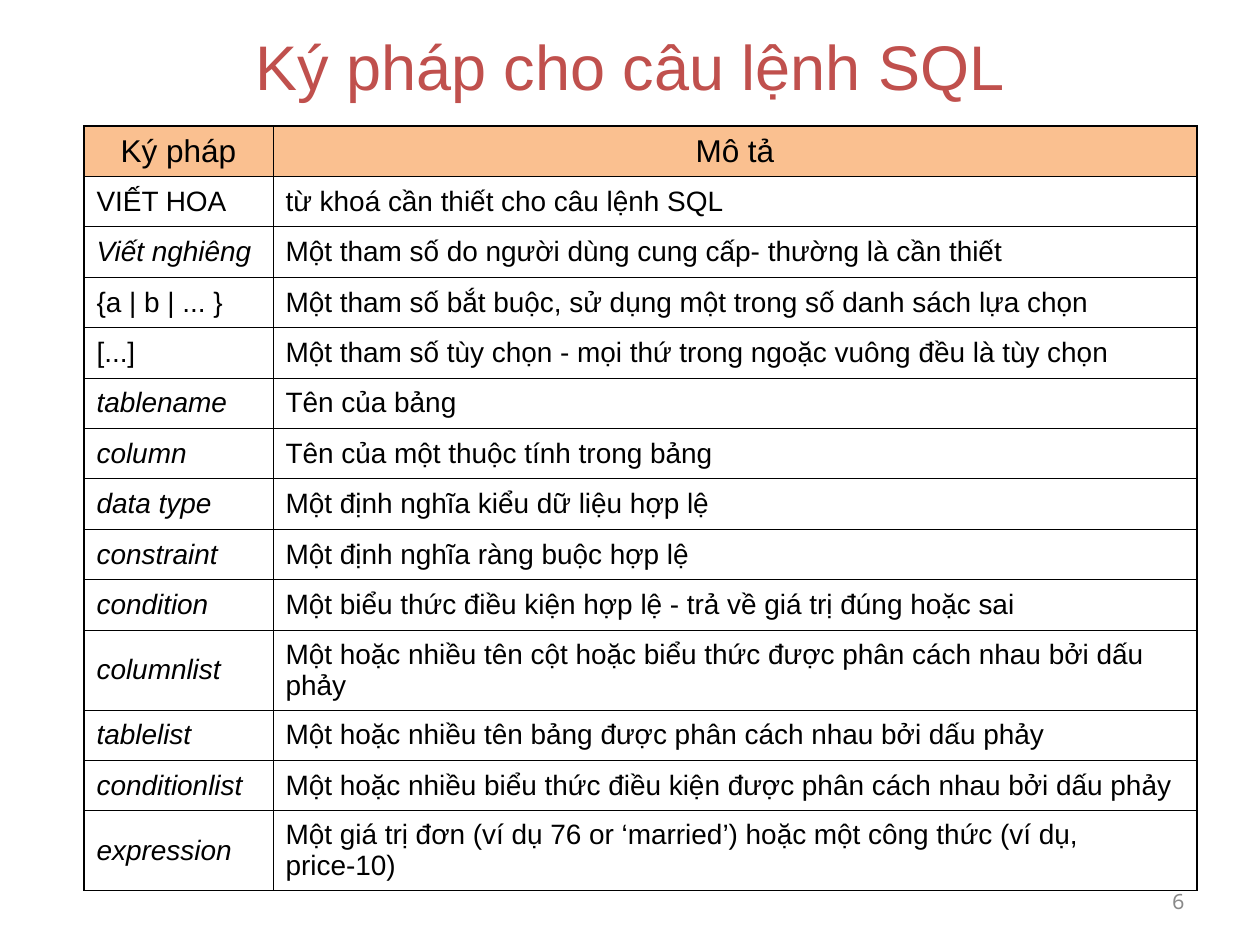
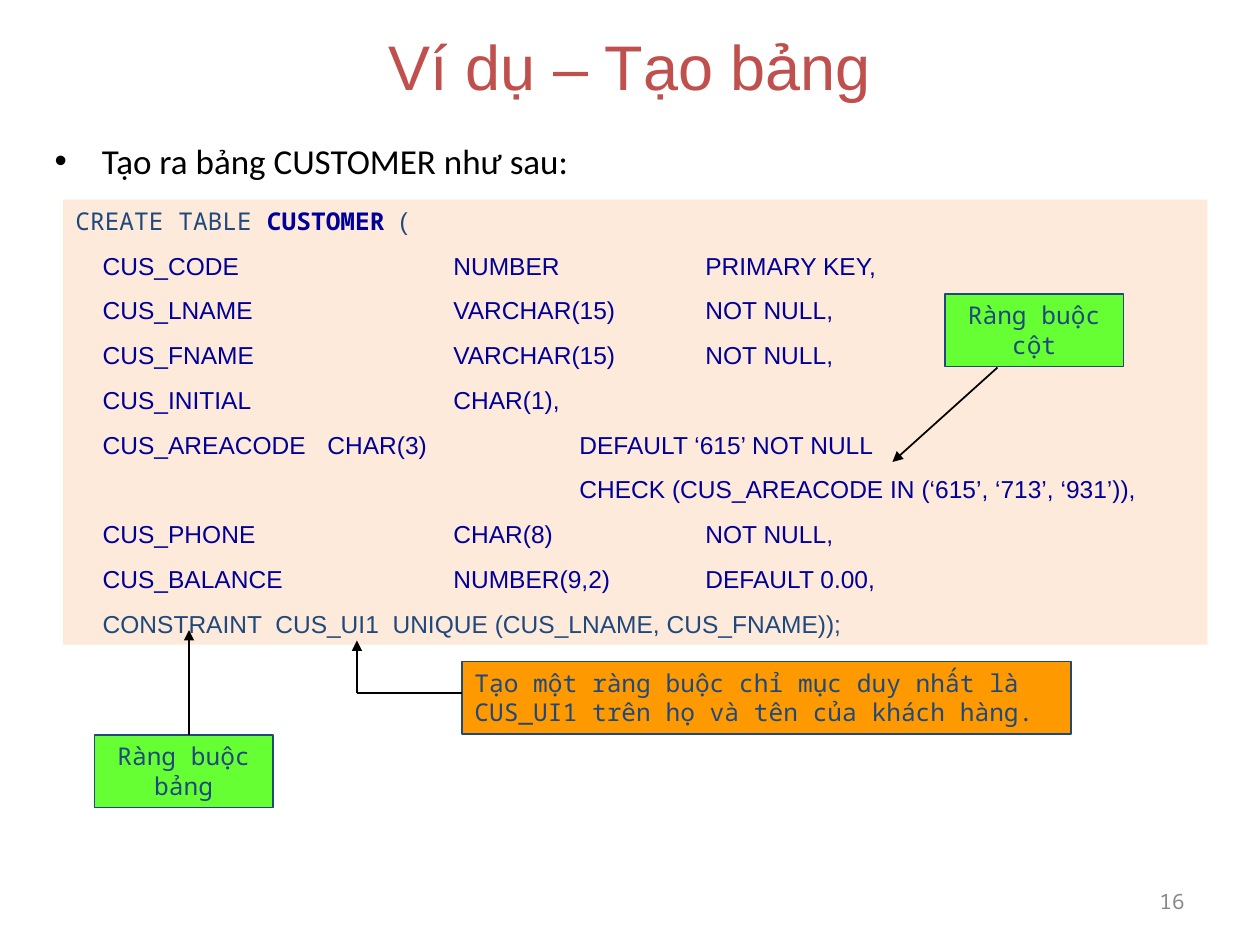
from dataclasses import dataclass
from itertools import pairwise

from lxml.etree import SubElement
from pptx import Presentation
from pptx.dml.color import RGBColor
from pptx.enum.shapes import MSO_CONNECTOR, MSO_SHAPE
from pptx.enum.text import MSO_ANCHOR, MSO_AUTO_SIZE, PP_ALIGN
from pptx.oxml.ns import qn
from pptx.util import Emu, Pt


@dataclass(frozen=True)
class Theme:
    title: str = "C0504D"
    black: str = "000000"
    navy: str = "1F497D"
    code: str = "000099"
    grey: str = "898989"
    head_fill: str = "FAC090"
    code_fill: str = "FDEADA"
    green: str = "66FF33"
    orange: str = "FF9900"
    sans: str = "Arial"
    body: str = "Calibri"
    mono: str = "Noto Sans Mono"
    title_pt: int = 36
    body_pt: int = 20
    head_pt: int = 18
    cell_pt: int = 16
    code_pt: int = 14
    number_pt: int = 12
    code_gap_pt: float = 8.8
    outer_pt: float = 1.08
    inner_pt: float = 0.45


T = Theme()
TITLE_BOX = (90, 17, 1020, 90)
NUMBER_BOX = (860, 834, 280, 48)
ROW_H, TALL_ROW_H = 48, 76

NOTATION = [
    ("Ký pháp", "Mô tả"),
    ("VIẾT HOA", "từ khoá cần thiết cho câu lệnh SQL"),
    ("Viết nghiêng", "Một tham số do người dùng cung cấp- thường là cần thiết"),
    ("{a | b | ... }", "Một tham số bắt buộc, sử dụng một trong số danh sách lựa chọn"),
    ("[...]", "Một tham số tùy chọn - mọi thứ trong ngoặc vuông đều là tùy chọn"),
    ("tablename", "Tên của bảng"),
    ("column", "Tên của một thuộc tính trong bảng"),
    ("data type", "Một định nghĩa kiểu dữ liệu hợp lệ"),
    ("constraint", "Một định nghĩa ràng buộc hợp lệ"),
    ("condition", "Một biểu thức điều kiện hợp lệ - trả về giá trị đúng hoặc sai"),
    ("columnlist", "Một hoặc nhiều tên cột hoặc biểu thức được phân cách nhau bởi dấu phảy"),
    ("tablelist", "Một hoặc nhiều tên bảng được phân cách nhau bởi dấu phảy"),
    ("conditionlist", "Một hoặc nhiều biểu thức điều kiện được phân cách nhau bởi dấu phảy"),
    ("expression", "Một giá trị đơn (ví dụ 76 or ‘married’) hoặc một công thức (ví dụ, price-10)"),
]
UPRIGHT = {"VIẾT HOA", "{a | b | ... }", "[...]"}
TALL = {"columnlist", "expression"}

WIDE, NARROW = (26, 360, 600), (26, 240, 480)
COLUMNS = [
    (WIDE, ("CUS_CODE", "NUMBER", "PRIMARY KEY,")),
    (WIDE, ("CUS_LNAME", "VARCHAR(15)", "NOT NULL,")),
    (WIDE, ("CUS_FNAME", "VARCHAR(15)", "NOT NULL,")),
    (WIDE, ("CUS_INITIAL", "CHAR(1),")),
    (NARROW, ("CUS_AREACODE", "CHAR(3)", "DEFAULT ‘615’ NOT NULL")),
    (NARROW, ("", "", "CHECK (CUS_AREACODE IN (‘615’, ‘713’, ‘931’)),")),
    (WIDE, ("CUS_PHONE", "CHAR(8)", "NOT NULL,")),
    (WIDE, ("CUS_BALANCE", "NUMBER(9,2)", "DEFAULT 0.00,")),
]
TABLE_RULE = "CONSTRAINT  CUS_UI1  UNIQUE (CUS_LNAME, CUS_FNAME));"


def px(n):
    return Emu(n * 7620)


def emus(box):
    return [px(n) for n in box]


def style(font, name, size, color, bold=False, italic=False):
    font.name, font.size = name, Pt(size)
    font.color.rgb = RGBColor.from_string(color)
    font.bold, font.italic = bold, italic


def place(sp, box):
    sp.left, sp.top, sp.width, sp.height = emus(box)


def add_slide(prs, layout, title, number):
    s = prs.slides.add_slide(prs.slide_layouts[layout])
    place(s.shapes.title, TITLE_BOX)
    s.shapes.title.text = title
    style(s.shapes.title.text_frame.paragraphs[0].font, T.sans, T.title_pt, T.title)
    tf = s.shapes.add_textbox(*emus(NUMBER_BOX)).text_frame
    tf.word_wrap, tf.vertical_anchor = True, MSO_ANCHOR.MIDDLE
    p = tf.paragraphs[0]
    p.text, p.alignment = str(number), PP_ALIGN.RIGHT
    style(p.font, T.mono, T.number_pt, T.grey)
    return s


def set_borders(cell, outer_sides):
    tcPr = cell._tc.get_or_add_tcPr()
    for side in "LRTB":
        width = T.outer_pt if side in outer_sides else T.inner_pt
        ln = SubElement(tcPr, qn(f"a:ln{side}"), w=str(Pt(width)))
        SubElement(SubElement(ln, qn("a:solidFill")), qn("a:srgbClr"), val=T.black)


def notation_table(s, box, first_width):
    table = s.shapes.add_table(len(NOTATION), 2, *emus(box)).table
    table.first_row = table.horz_banding = False
    table.columns[0].width = px(first_width)
    table.columns[1].width = px(box[2] - first_width)
    for i, texts in enumerate(NOTATION):
        head = i == 0
        table.rows[i].height = px(TALL_ROW_H if texts[0] in TALL else ROW_H)
        for j, text in enumerate(texts):
            cell = table.cell(i, j)
            set_borders(cell, "LR"[j] + "T" * head + "B" * (i == len(NOTATION) - 1))
            if head:
                cell.fill.solid()
                cell.fill.fore_color.rgb = RGBColor.from_string(T.head_fill)
            else:
                cell.fill.background()
            cell.vertical_anchor = MSO_ANCHOR.MIDDLE
            p = cell.text_frame.paragraphs[0]
            p.text = text
            p.alignment = PP_ALIGN.CENTER if head else PP_ALIGN.LEFT
            style(p.font, T.sans, T.head_pt if head else T.cell_pt, T.black,
                  italic=not head and j == 0 and text not in UPRIGHT)


def intro_list(s, box, text):
    sp = s.placeholders[1]
    place(sp, box)
    tf = sp.text_frame
    tf.auto_size = MSO_AUTO_SIZE.NONE
    p = tf.paragraphs[0]
    p.text, p.alignment = text, PP_ALIGN.JUSTIFY
    pPr = p._p.get_or_add_pPr()
    pPr.set("marL", str(px(45)))
    pPr.set("indent", str(px(-45)))
    style(p.font, T.body, T.body_pt, T.black)


def filled_box(s, box, fill, line=None):
    sp = s.shapes.add_shape(MSO_SHAPE.RECTANGLE, *emus(box))
    sp.shadow.inherit = False
    sp.fill.solid()
    sp.fill.fore_color.rgb = RGBColor.from_string(fill)
    if line:
        sp.line.color.rgb = RGBColor.from_string(line)
        sp.line.width = Pt(1)
    else:
        sp.line.fill.background()
    tf = sp.text_frame
    tf.word_wrap, tf.vertical_anchor = True, MSO_ANCHOR.TOP
    return tf


def code_line(tf, cells, color, stops):
    p = tf.add_paragraph()
    p.text = "".join(f"\t{cell}" for cell in cells)
    p.alignment, p.space_before = PP_ALIGN.LEFT, Pt(T.code_gap_pt)
    tabs = SubElement(p._p.get_or_add_pPr(), qn("a:tabLst"))
    for stop in stops:
        SubElement(tabs, qn("a:tab"), pos=str(px(stop)), algn="l")
    style(p.font, T.sans, T.code_pt, color)


def code_panel(s, box):
    tf = filled_box(s, box, T.code_fill)
    p = tf.paragraphs[0]
    p.alignment = PP_ALIGN.LEFT
    for text, name, color, bold in (("CREATE TABLE ", T.mono, T.navy, False),
                                    ("CUSTOMER ", T.mono, T.code, True),
                                    ("(", T.sans, T.navy, False)):
        r = p.add_run()
        r.text = text
        style(r.font, name, T.code_pt, color, bold)
    for stops, cells in COLUMNS:
        code_line(tf, cells, T.code, stops)
    code_line(tf, [TABLE_RULE], T.navy, WIDE)


def arrow(s, points):
    for start, end in pairwise(points):
        c = s.shapes.add_connector(MSO_CONNECTOR.STRAIGHT, *emus(start + end))
        c.line.color.rgb = RGBColor.from_string(T.black)
        c.line.width = Pt(1)
        if end == points[-1]:
            SubElement(c.line._get_or_add_ln(), qn("a:tailEnd"), type="triangle")
        SubElement(c._element.spPr, qn("a:effectLst"))


def callout(s, box, text, fill, align, route):
    p = filled_box(s, box, fill, T.navy).paragraphs[0]
    p.text, p.alignment = text, align
    style(p.font, T.mono, T.code_pt, T.navy)
    arrow(s, [(box[0] + dx, box[1] + dy) for dx, dy in route])


def notation_slide(prs):
    s = add_slide(prs, 5, "Ký pháp cho câu lệnh SQL", 6)
    notation_table(s, (80, 120, 1060, 728), 180)


def create_table_slide(prs):
    s = add_slide(prs, 1, "Ví dụ – Tạo bảng", 16)
    intro_list(s, (40, 127, 1020, 653), "Tạo ra bảng CUSTOMER như sau:")
    code_panel(s, (60, 190, 1090, 424))
    callout(s, (440, 630, 580, 69),
            "Tạo một ràng buộc chỉ mục duy nhất là CUS_UI1 trên họ và tên của khách hàng.",
            T.orange, PP_ALIGN.LEFT, [(0, 30), (-100, 30), (-100, -20)])
    callout(s, (90, 700, 170, 69), "Ràng buộc bảng", T.green, PP_ALIGN.CENTER,
            [(90, 0), (90, -100)])
    callout(s, (900, 280, 170, 69), "Ràng buộc cột", T.green, PP_ALIGN.CENTER,
            [(50, 70), (-50, 160)])


def main():
    prs = Presentation()
    prs.slide_width, prs.slide_height = px(1200), px(900)
    notation_slide(prs)
    create_table_slide(prs)
    prs.save("out.pptx")


if __name__ == "__main__":
    main()
